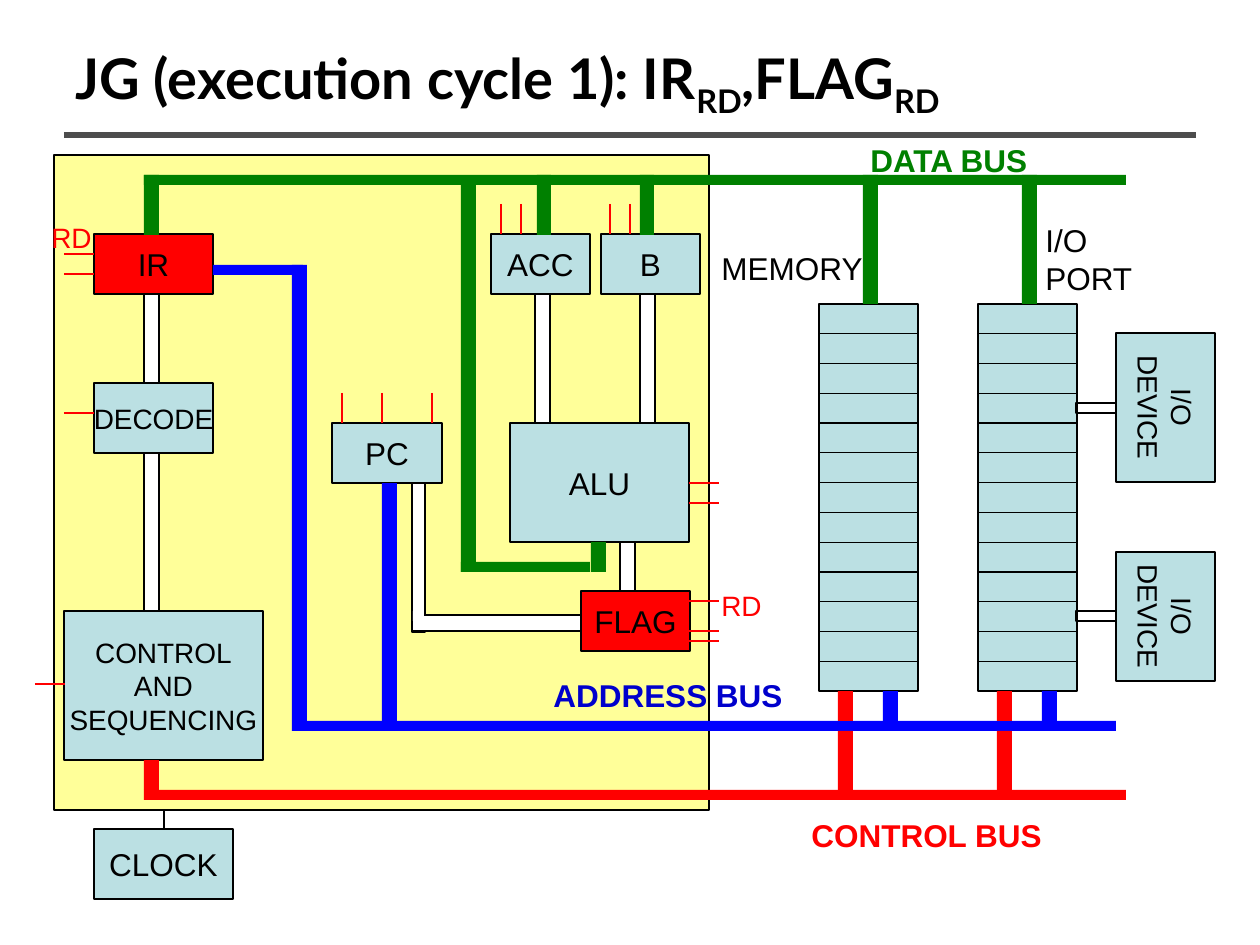
from pptx import Presentation
from pptx.dml.color import RGBColor
from pptx.enum.shapes import MSO_CONNECTOR as Connector, MSO_SHAPE as Shape
from pptx.enum.text import MSO_ANCHOR as Anchor, MSO_AUTO_SIZE as AutoSize, PP_ALIGN as Align
from pptx.oxml.ns import qn
from pptx.util import Pt
from lxml.etree import SubElement

PX = 914400 / 126
COLORS = {
    "black": "000000", "white": "FFFFFF", "gray": "4D4D4D", "yellow": "FFFF99",
    "teal": "BBE0E3", "red": "FF0000", "green": "008000", "blue": "0000FF", "navy": "0000CC",
}
COLORS = {name: RGBColor.from_string(value) for name, value in COLORS.items()}

deck = Presentation()
deck.slide_width, deck.slide_height = round(1260 * PX), round(945 * PX)
page = deck.slides.add_slide(deck.slide_layouts[5])


def add_box(place, fill=None, outlined=True):
    box = page.shapes.add_shape(Shape.RECTANGLE, *(round(n * PX) for n in place))
    box.shadow.inherit = False
    if fill:
        box.fill.solid()
        box.fill.fore_color.rgb = COLORS[fill]
    else:
        box.fill.background()
    if outlined:
        box.line.color.rgb = COLORS["black"]
        box.line.width = Pt(0.75)
    else:
        box.line.fill.background()
    return box


def add_line(ends, color="black", width=0.75):
    line = page.shapes.add_connector(Connector.STRAIGHT, *(round(n * PX) for n in ends))
    line.line.color.rgb = COLORS[color]
    line.line.width = Pt(width)
    SubElement(line._element.spPr, qn("a:effectLst"))


title = page.shapes.title
title.left, title.top, title.width, title.height = (round(n * PX) for n in (63, 38, 1134, 87))
frame = title.text_frame
frame.auto_size = AutoSize.NONE
frame.vertical_anchor = Anchor.MIDDLE
para = frame.paragraphs[0]
para.alignment = Align.LEFT
for text, lowered in (("JG (execution cycle 1): IR", False), ("RD", True), (",FLAG", False), ("RD", True)):
    span = para.add_run()
    span.text = text
    span.font.name, span.font.size, span.font.bold = "Lato", Pt(32), True
    span.font.color.rgb = COLORS["black"]
    if lowered:
        span._r.get_or_add_rPr().set("baseline", "-25000")

add_line((64, 135, 1196, 135), "gray", 3)
add_box((54, 155, 655, 655), "yellow")

units = [
    ("IR", (94, 234, 119, 60), "red", 18, 0),
    ("DECODE", (94, 383, 119, 70), "teal", 16, 0),
    ("CONTROL\nAND\nSEQUENCING", (64, 611, 199, 149), "teal", 16, 0),
    ("PC", (332, 423, 110, 60), "teal", 18, 0),
    ("ACC", (491, 234, 99, 60), "teal", 18, 0),
    ("B", (601, 234, 99, 60), "teal", 18, 0),
    ("ALU", (510, 423, 179, 119), "teal", 18, 0),
    ("FLAG", (581, 591, 109, 60), "red", 18, 0),
    ("CLOCK", (94, 829, 139, 70), "teal", 18, 0),
    ("I/O\nDEVICE", (1091, 358, 149, 99), "teal", 16, 90),
    ("I/O\nDEVICE", (1101, 567, 129, 99), "teal", 16, 90),
]
for text, place, fill, size, turn in units:
    unit = add_box(place, fill)
    unit.rotation = turn
    frame = unit.text_frame
    frame.text = text
    frame.word_wrap = False
    frame.vertical_anchor = Anchor.MIDDLE
    for para in frame.paragraphs:
        para.alignment = Align.CENTER
        para.runs[0].font.name, para.runs[0].font.size = "Arial", Pt(size)
        para.runs[0].font.color.rgb = COLORS["black"]

cells = 13
for left in (819, 978):
    add_box((left, 304, 99, 387), "teal")
    for row in range(1, cells):
        y = 304 + 387 * row / cells
        add_line((left, y, left + 99, y))

for y in (403, 611):
    add_box((1076, y, 40, 10))

buses = {
    "green": [
        (144, 175, 982, 10), (863, 175, 15, 129), (1022, 175, 15, 129), (144, 175, 15, 60),
        (537, 175, 14, 60), (640, 175, 14, 60), (591, 542, 15, 30), (461, 185, 15, 387),
        (461, 562, 129, 10),
    ],
    "blue": [
        (382, 483, 15, 248), (302, 721, 814, 10), (883, 691, 15, 30), (1042, 691, 15, 39),
        (292, 265, 15, 466), (213, 265, 90, 10),
    ],
    "red": [
        (838, 691, 15, 30), (997, 691, 15, 30), (838, 731, 15, 59), (997, 731, 15, 59),
        (144, 790, 982, 10), (144, 760, 15, 30),
    ],
}
for color, places in buses.items():
    for place in places:
        add_box(place, color, outlined=False)

pipes = [
    (535, 294, 15, 129), (640, 294, 15, 129), (144, 294, 15, 89), (144, 453, 15, 158),
    (620, 542, 15, 49), (412, 483, 13, 149), (412, 615, 169, 16),
]
for place in pipes:
    add_box(place, "white")
add_box((413, 611, 11, 10), "white", outlined=False)
add_line((164, 830, 164, 810))

tick = 30
for x, y in ((64, 254), (64, 274), (64, 413), (35, 684), (689, 483), (689, 503),
             (689, 601), (689, 631), (689, 641)):
    add_line((x, y, x + tick, y), "red", 1.5)
for x, y in ((342, 393), (382, 393), (432, 393), (501, 204), (521, 204), (610, 204), (630, 204)):
    add_line((x, y, x, y + tick), "red", 1.5)

labels = [
    ("DATA BUS", (858, 135, 188, 50), "green", 18, True),
    ("CONTROL BUS", (799, 810, 256, 50), "red", 18, True),
    ("ADDRESS BUS", (541, 670, 255, 50), "navy", 18, True),
    ("MEMORY", (709, 243, 168, 50), "black", 18, False),
    ("I/O\nPORT", (1033, 215, 113, 88), "black", 18, False),
    ("RD", (39, 214, 66, 47), "red", 16, False),
    ("RD", (709, 582, 66, 47), "red", 16, False),
]
for text, place, color, size, bold in labels:
    label = page.shapes.add_textbox(*(round(n * PX) for n in place))
    frame = label.text_frame
    frame.text = text
    frame.word_wrap = False
    frame.auto_size = AutoSize.SHAPE_TO_FIT_TEXT
    for para in frame.paragraphs:
        font = para.runs[0].font
        font.name, font.size, font.bold = "Arial", Pt(size), bold
        font.color.rgb = COLORS[color]

deck.save("out.pptx")
